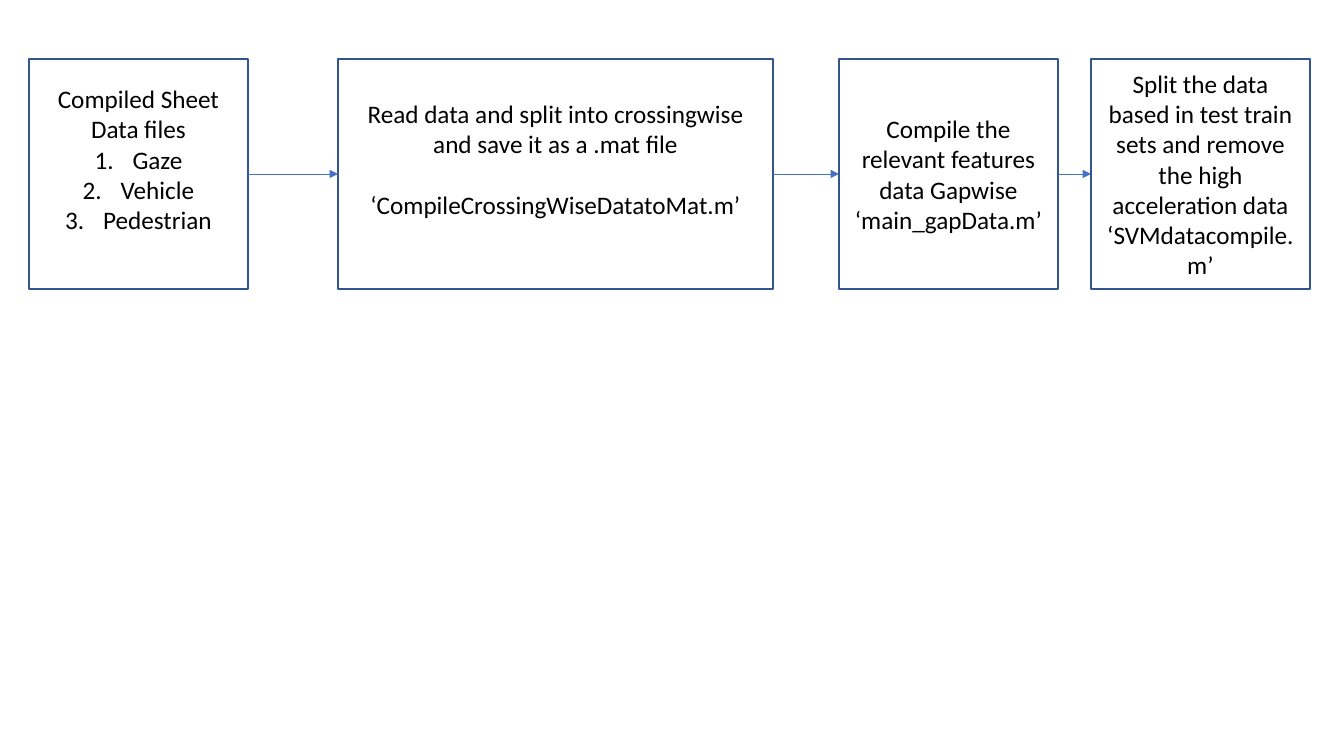
"""Builds a slide showing the data preparation steps as a row of linked boxes."""
from dataclasses import dataclass

from lxml import etree
from pptx import Presentation
from pptx import util as u
from pptx.dml.color import RGBColor
from pptx.enum import shapes, text
from pptx.oxml.ns import qn

SCALE = 914400 / 100.8
LEFT_SITE, RIGHT_SITE = 1, 3


def px(length):
    """Turn pixels into EMU."""
    return u.Emu(round(length * SCALE))


@dataclass(frozen=True)
class Theme:
    """Colours, font and sizes of the slide."""
    ink: RGBColor = RGBColor(0x00, 0x00, 0x00)
    border: RGBColor = RGBColor(0x32, 0x54, 0x91)
    arrow: RGBColor = RGBColor(0x44, 0x72, 0xC4)
    font: str = "Calibri"
    body: float = 18
    border_width: float = 1
    arrow_width: float = 0.5


class Flow:
    """Draws boxes and arrows on one slide in one theme."""

    def __init__(self, slide, theme):
        """Keep the slide and its theme."""
        self.slide = slide
        self.theme = theme

    def box(self, left, top, width, height, lines, bottom_inset):
        """Add an outlined box with centred lines."""
        shape = self.slide.shapes.add_shape(
            shapes.MSO_SHAPE.RECTANGLE, px(left), px(top), px(width), px(height))
        shape.shadow.inherit = False
        shape.fill.background()
        shape.line.color.rgb = self.theme.border
        shape.line.width = u.Pt(self.theme.border_width)
        frame = shape.text_frame
        frame.word_wrap = True
        frame.vertical_anchor = text.MSO_ANCHOR.MIDDLE
        frame.margin_bottom = px(bottom_inset)
        frame.text = "\n".join(lines)
        for paragraph in frame.paragraphs:
            paragraph.alignment = text.PP_ALIGN.CENTER
            for run in paragraph.runs:
                run.font.name = self.theme.font
                run.font.size = u.Pt(self.theme.body)
                run.font.color.rgb = self.theme.ink
        return shape

    def number(self, paragraphs, indent):
        """Number the paragraphs with a hanging indent."""
        for paragraph in paragraphs:
            properties = paragraph._p.get_or_add_pPr()
            properties.set("marL", str(px(indent)))
            properties.set("indent", str(-px(indent)))
            etree.SubElement(properties, qn("a:buFont"), typeface="+mj-lt")
            etree.SubElement(properties, qn("a:buAutoNum"), type="arabicPeriod")

    def arrow(self, start, end):
        """Link two boxes from right side to left side."""
        connector = self.slide.shapes.add_connector(
            shapes.MSO_CONNECTOR.STRAIGHT, 0, 0, 0, 0)
        connector.begin_connect(start, RIGHT_SITE)
        connector.end_connect(end, LEFT_SITE)
        connector.line.color.rgb = self.theme.arrow
        connector.line.width = u.Pt(self.theme.arrow_width)
        line = connector.line._get_or_add_ln()
        etree.SubElement(line, qn("a:tailEnd"), type="triangle")
        etree.SubElement(connector._element.spPr, qn("a:effectLst"))


TOP, HEIGHT = 59, 230
NARROW, WIDE = 219, 435
INSET, RAISED_INSET = 5, 35
STEPS = [
    (29, NARROW, RAISED_INSET,
     ["Compiled Sheet Data files", "Gaze", "Vehicle", "Pedestrian"]),
    (338, WIDE, RAISED_INSET,
     ["Read data and split into crossingwise and save it as a .mat file",
      "‘CompileCrossingWiseDatatoMat.m’"]),
    (839, NARROW, INSET,
     ["Compile the relevant features data Gapwise", "‘main_gapData.m’"]),
    (1091, NARROW, INSET,
     ["Split the data based in test train sets and remove the high acceleration data",
      "‘SVMdatacompile.m’"]),
]

presentation = Presentation()
presentation.slide_width, presentation.slide_height = px(1344), px(756)
flow = Flow(presentation.slides.add_slide(presentation.slide_layouts[6]), Theme())

boxes = [flow.box(left, TOP, width, HEIGHT, lines, inset)
         for left, width, inset, lines in STEPS]
source_files, crossing_split = boxes[:2]
flow.number(source_files.text_frame.paragraphs[1:], 38)
crossing_split.text_frame.paragraphs[1].space_before = u.Pt(22)
for start, end in zip(boxes, boxes[1:]):
    flow.arrow(start, end)

presentation.save("out.pptx")
